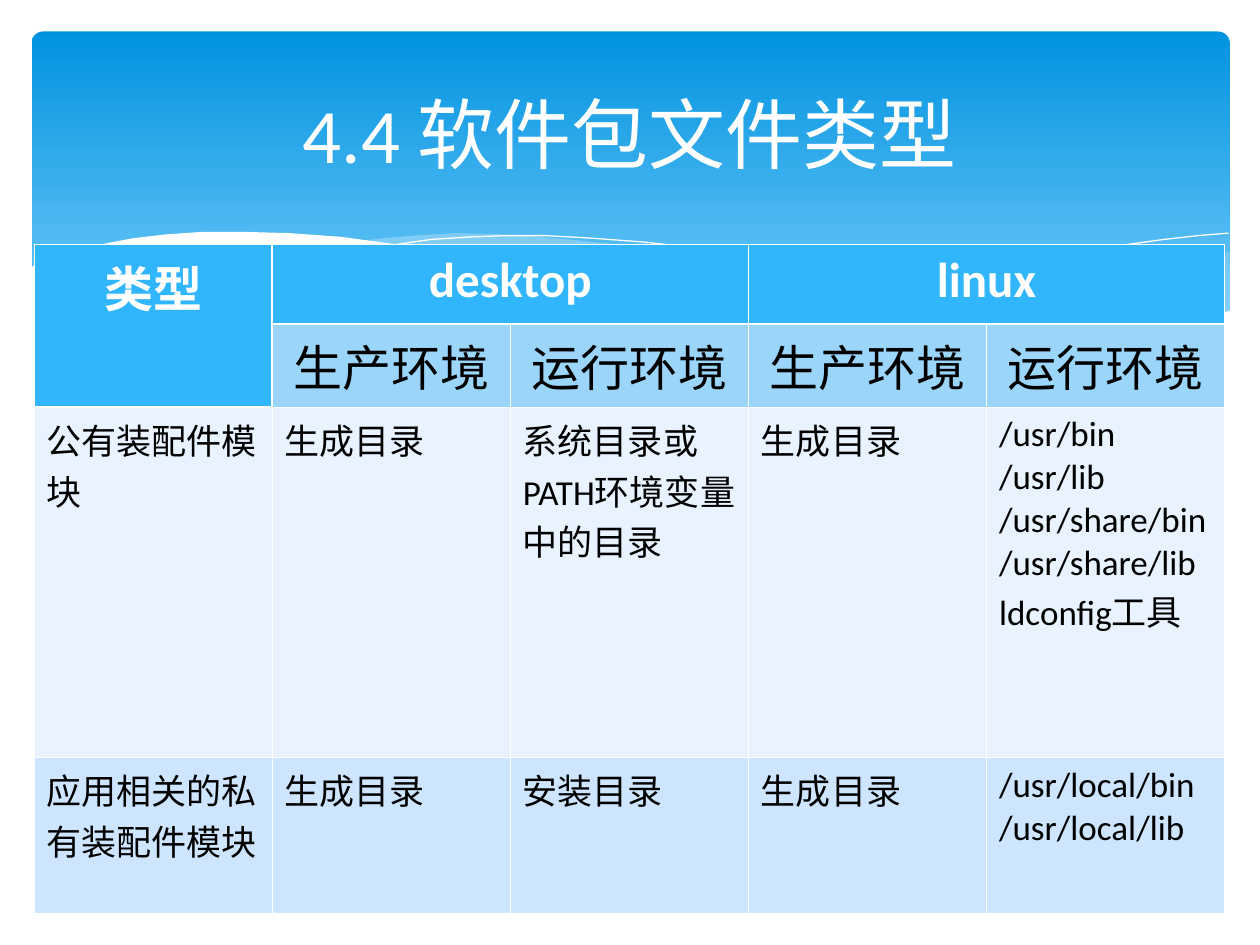
from lxml.etree import SubElement
from pptx import Presentation
from pptx.dml.color import RGBColor
from pptx.enum.shapes import MSO_SHAPE
from pptx.enum.text import MSO_ANCHOR, PP_ALIGN
from pptx.oxml.ns import qn
from pptx.util import Inches, Pt

FONT = "Calibri"
WHITE = "FFFFFF"
THIN, HEAVY = Pt(0.45), Pt(1.47)

RIGHT_WAVE = [
    (9.75, 2), (9.35, 2.07), (8.91, 2.16), (8.32, 2.3), (7.79, 2.42), (7.29, 2.53),
    (6.61, 2.65), (6.91, 2.69), (7.18, 2.73), (7.45, 2.75), (7.81, 2.77), (8.14, 2.78),
    (8.44, 2.77), (8.72, 2.74), (8.97, 2.7), (9.21, 2.65), (9.49, 2.57), (9.76, 2.47),
    (9.76, 2)]
MIDDLE_WAVE = [
    (8.93, 2.73), (8.66, 2.69), (8.07, 2.6), (7.41, 2.47), (6.68, 2.31), (6.13, 2.18),
    (5.69, 2.08), (5.27, 2), (4.89, 1.94), (4.41, 1.89), (3.99, 1.86), (3.61, 1.85),
    (3.28, 1.87), (2.86, 1.91), (3.23, 1.96), (3.62, 2.03), (4.04, 2.11), (4.49, 2.22),
    (5.3, 2.4), (5.84, 2.52), (6.34, 2.61), (6.8, 2.68), (7.22, 2.74), (7.61, 2.77),
    (7.96, 2.79), (8.38, 2.78), (8.67, 2.76)]
LONG_CREST = [
    (3.09, 1.95), (3.28, 1.92), (3.43, 1.9), (3.74, 1.88), (4.01, 1.87), (4.33, 1.87),
    (4.69, 1.89), (5.1, 1.92), (5.56, 1.97), (6.08, 2.04), (6.65, 2.13), (7.27, 2.26),
    (7.95, 2.42), (8.68, 2.61), (9.07, 2.72)]
SHORT_CREST = [
    (6.13, 2.57), (6.52, 2.46), (6.95, 2.35), (7.48, 2.23), (8.06, 2.1), (8.66, 1.99),
    (8.95, 1.94), (9.24, 1.9), (9.51, 1.87), (9.75, 1.85)]
WHITE_WAVE = [
    (9.77, 2.46), (9.5, 2.56), (9.2, 2.65), (8.87, 2.71), (8.5, 2.75), (8.09, 2.77),
    (7.61, 2.75), (7.08, 2.7), (6.47, 2.62), (5.79, 2.5), (5.29, 2.39), (4.75, 2.27),
    (4.18, 2.13), (3.65, 2.02), (3.15, 1.94), (2.71, 1.88), (2.3, 1.85), (1.93, 1.84),
    (1.61, 1.84), (1.32, 1.86), (1.06, 1.89), (0.85, 1.93), (0.67, 1.97), (0.52, 2.01),
    (0.4, 2.05), (0.29, 2.1), (0.23, 2.13), (0.23, 3.29), (9.77, 3.29)]

HEADINGS = ["类型", "desktop", "", "linux", ""]
ENVIRONMENTS = ["", "生产环境", "运行环境", "生产环境", "运行环境"]
MODULES = [
    ["公有装配件模块", "生成目录", "系统目录或PATH环境变量中的目录", "生成目录",
     "/usr/bin\n/usr/lib\n/usr/share/bin\n/usr/share/lib\nldconfig工具"],
    ["应用相关的私有装配件模块", "生成目录", "安装目录", "生成目录",
     "/usr/local/bin\n/usr/local/lib"]]


def rgb(color):
    return RGBColor.from_string(color)


def fill_solid(fill, color, opacity=100):
    fill.solid()
    fill.fore_color.rgb = rgb(color)
    if opacity < 100:
        color_xml = fill._xPr.find(qn("a:solidFill"))[0]
        SubElement(color_xml, qn("a:alpha"), val=str(opacity * 1000))


def add_curve(slide, points, closed):
    start, *rest = [(Inches(x), Inches(y)) for x, y in points]
    builder = slide.shapes.build_freeform(*start)
    builder.add_line_segments(rest, close=closed)
    curve = builder.convert_to_shape()
    curve.shadow.inherit = False
    return curve


def add_wave(slide, points, color, opacity=100):
    wave = add_curve(slide, points, closed=True)
    fill_solid(wave.fill, color, opacity)
    wave.line.fill.background()


def add_crest(slide, points):
    crest = add_curve(slide, points, closed=False)
    crest.fill.background()
    crest.line.color.rgb = rgb(WHITE)
    crest.line.width = Pt(0)


def add_banner(slide, left, top, width, height):
    """Gradient panel whose lower edge is cut by waves."""
    panel = slide.shapes.add_shape(MSO_SHAPE.ROUNDED_RECTANGLE, left, top, width, height)
    panel.adjustments[0] = 0.034
    panel.shadow.inherit = False
    panel.line.fill.background()
    panel.fill.gradient()
    panel.fill.gradient_angle = 270
    for stop, position, color in zip(panel.fill.gradient_stops, (0, 1), ("0293E0", "83D3FE")):
        stop.position = position
        stop.color.rgb = rgb(color)
    add_wave(slide, RIGHT_WAVE, "C6E7FC", 29)
    add_wave(slide, MIDDLE_WAVE, "C6E7FC", 40)
    add_crest(slide, LONG_CREST)
    add_crest(slide, SHORT_CREST)
    add_wave(slide, WHITE_WAVE, WHITE)


def set_borders(cell, row, col):
    """White rules, heavier around the header row and the type cell."""
    in_type = col == 0 and row < 2
    heavy_sides = {
        "L": (row, col) == (1, 1),
        "R": in_type,
        "T": (row == 1 and col > 0) or (row, col) == (2, 0),
        "B": in_type or row == 0}
    properties = cell._tc.get_or_add_tcPr()
    for side, heavy in heavy_sides.items():
        rule = SubElement(properties, qn(f"a:ln{side}"), w=str(HEAVY if heavy else THIN))
        SubElement(SubElement(rule, qn("a:solidFill")), qn("a:srgbClr"), val=WHITE)


def format_cell(cell, text, size, color, bold, align):
    cell.text_frame.text = text
    for paragraph in cell.text_frame.paragraphs:
        paragraph.alignment = align
        for run in paragraph.runs:
            run.font.name = FONT
            run.font.size = Pt(size)
            run.font.bold = bold
            run.font.color.rgb = rgb(color)


def add_directory_table(slide, left, top, width, height):
    rows = [HEADINGS, ENVIRONMENTS, *MODULES]
    table = slide.shapes.add_table(len(rows), len(HEADINGS), left, top, width, height).table
    for row, row_height in zip(table.rows, (0.63, 0.66, 2.78, 1.24)):
        row.height = Inches(row_height)
    fills = ["31B6FD", "9BD5FA", "E8F3FF", "CDE5FE"]
    for r, texts in enumerate(rows):
        for c, text in enumerate(texts):
            cell = table.cell(r, c)
            heading = r == 0 or (r == 1 and c == 0)
            set_borders(cell, r, c)
            fill_solid(cell.fill, fills[0] if heading else fills[r])
            format_cell(cell, text, 28 if r < 2 else 20, WHITE if heading else "000000",
                        heading, PP_ALIGN.CENTER if r < 2 else PP_ALIGN.LEFT)
    for first, last in (((0, 0), (1, 0)), ((0, 1), (0, 2)), ((0, 3), (0, 4))):
        table.cell(*first).merge(table.cell(*last))


def place_title(slide, text, left, top, width, height):
    title = slide.shapes.title
    title.left, title.top, title.width, title.height = left, top, width, height
    slide.shapes._spTree.append(title._element)  # in front of the banner
    title.text_frame.text = text
    title.text_frame.vertical_anchor = MSO_ANCHOR.MIDDLE
    paragraph = title.text_frame.paragraphs[0]
    paragraph.alignment = PP_ALIGN.CENTER
    font = paragraph.runs[0].font
    font.name = FONT
    font.size = Pt(44)
    font.color.rgb = rgb(WHITE)


def main():
    presentation = Presentation()
    presentation.slide_width, presentation.slide_height = Inches(10), Inches(7.5)
    slide = presentation.slides.add_slide(presentation.slide_layouts[5])
    add_banner(slide, Inches(0.25), Inches(0.25), Inches(9.51), Inches(2.7))
    add_directory_table(slide, Inches(0.27), Inches(1.94), Inches(9.45), Inches(5.31))
    place_title(slide, "4.4 软件包文件类型", Inches(0.5), Inches(0.37), Inches(9), Inches(1.37))
    presentation.save("out.pptx")


if __name__ == "__main__":
    main()
